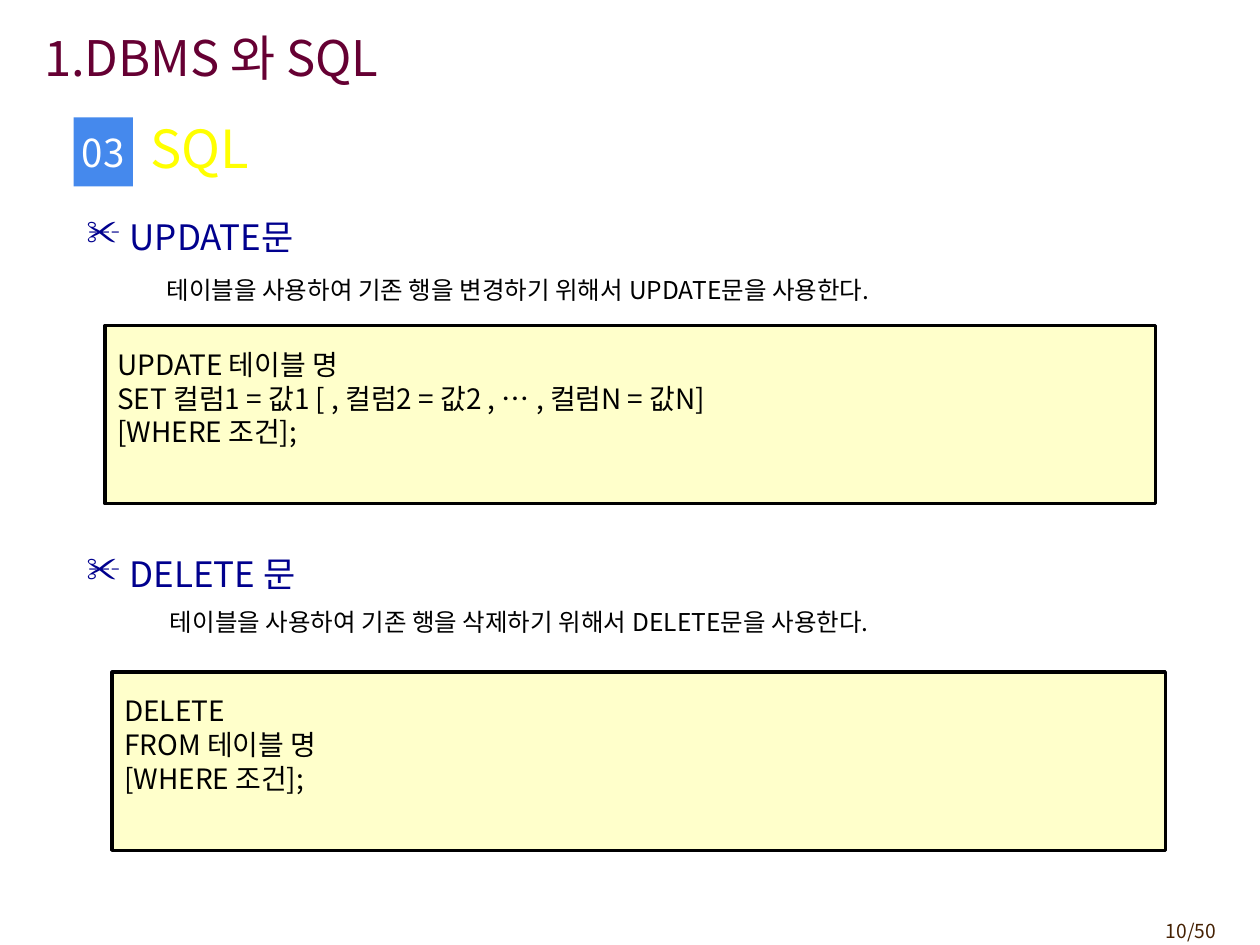
from dataclasses import dataclass

from lxml import etree
from pptx import Presentation
from pptx import util as u
from pptx.dml.color import RGBColor
from pptx.enum import shapes, text
from pptx.oxml.ns import qn

FONT = "Noto Sans CJK KR"
BLACK, NAVY = "000000", "00008E"


@dataclass
class Box:
    left: float
    top: float
    width: float
    height: float

    def lengths(self) -> list:
        return [u.Pt(value) for value in (self.left, self.top, self.width, self.height)]


@dataclass
class Section:
    heading: str
    heading_box: Box
    code: str
    code_box: Box


def color(value: str) -> RGBColor:
    return RGBColor.from_string(value)


def add_xml(parent, tag: str, **attributes: str):
    return etree.SubElement(parent, qn(tag), attributes)


def write(shape, content: str, size: float, ink: str,
          align=text.PP_ALIGN.LEFT, anchor=text.MSO_ANCHOR.TOP, wrap: bool = True) -> None:
    """Fill a shape with text in the slide's font."""
    frame = shape.text_frame
    frame.text = content
    frame.word_wrap = wrap
    frame.auto_size = text.MSO_AUTO_SIZE.NONE
    frame.vertical_anchor = anchor
    for paragraph in frame.paragraphs:
        paragraph.alignment = align
        paragraph.space_before = u.Pt(0)
        for run in paragraph.runs:
            run.font.size = u.Pt(size)
            run.font.name = FONT
            run.font.color.rgb = color(ink)
            add_xml(run._r.get_or_add_rPr(), "a:ea", typeface=FONT)


def add_text(slide, box: Box, content: str, size: float, ink: str, **layout):
    shape = slide.shapes.add_textbox(*box.lengths())
    write(shape, content, size, ink, **layout)
    return shape


def add_rectangle(slide, box: Box, fill: str):
    shape = slide.shapes.add_shape(shapes.MSO_SHAPE.RECTANGLE, *box.lengths())
    shape.shadow.inherit = False
    shape.fill.solid()
    shape.fill.fore_color.rgb = color(fill)
    shape.line.fill.background()
    return shape


def set_indent(shape, left: float, first: float, bullet: str = "") -> None:
    properties = shape.text_frame.paragraphs[0]._p.get_or_add_pPr()
    properties.set("marL", str(u.Pt(left)))
    properties.set("indent", str(u.Pt(first)))
    if bullet:
        bullet_color = add_xml(properties, "a:buClr")
        add_xml(bullet_color, "a:srgbClr", val=NAVY)
        add_xml(properties, "a:buChar", char=bullet)
    else:
        add_xml(properties, "a:buNone")


def add_section(slide, section: Section) -> None:
    # Heading with a scissors bullet
    heading = add_text(slide, section.heading_box, section.heading, 20, NAVY)
    set_indent(heading, 24.5, -24.5, "✂")

    # Syntax panel, half transparent, with a line's room left below the code
    panel = add_rectangle(slide, section.code_box, "FFFF99")
    fill_color = panel._element.spPr.find(qn("a:solidFill")).find(qn("a:srgbClr"))
    add_xml(fill_color, "a:alpha", val="50000")
    panel.line.color.rgb = color(BLACK)
    panel.line.width = u.Pt(1.75)
    write(panel, section.code, 16, BLACK, anchor=text.MSO_ANCHOR.MIDDLE, wrap=False)
    panel.text_frame.margin_bottom = u.Pt(22.8)


def add_text_shadow(shape) -> None:
    properties = shape.text_frame.paragraphs[0].runs[0]._r.get_or_add_rPr()
    effects = etree.Element(qn("a:effectLst"))
    shadow = add_xml(effects, "a:outerShdw", dist="25400", dir="2700000")
    add_xml(shadow, "a:srgbClr", val=BLACK)
    properties.find(qn("a:solidFill")).addnext(effects)


SECTIONS = [
    Section("UPDATE문", Box(42.5, 119.5, 465, 34),
            "UPDATE 테이블 명\nSET 컬럼1 = 값1 [ , 컬럼2 = 값2 , … , 컬럼N = 값N]\n[WHERE 조건];",
            Box(60, 186, 600.5, 102)),
    Section("DELETE 문", Box(42.5, 312, 465, 34),
            "DELETE\nFROM 테이블 명\n[WHERE 조건];",
            Box(64, 384, 602, 102)),
]


def main() -> None:
    presentation = Presentation()
    presentation.slide_width, presentation.slide_height = u.Pt(720), u.Pt(540)
    slide = presentation.slides.add_slide(presentation.slide_layouts[1])
    middle = text.MSO_ANCHOR.MIDDLE

    # Title and first description
    title, body = slide.placeholders
    title.left, title.top, title.width, title.height = Box(18, 6, 642, 53).lengths()
    write(title, "1.DBMS 와 SQL", 28, "660033", anchor=middle)
    body.left, body.top, body.width, body.height = Box(88, 153.5, 550, 34.5).lengths()
    write(body, "테이블을 사용하여 기존 행을 변경하기 위해서 UPDATE문을 사용한다.", 14, BLACK)
    set_indent(body, 27, -27)

    # Numbered topic
    badge = add_rectangle(slide, Box(42, 67, 34, 39.5), "4589ED")
    write(badge, "03", 22, "FFFFFF", align=text.PP_ALIGN.CENTER, anchor=middle, wrap=False)
    topic = add_text(slide, Box(79, 60, 467, 49), "SQL", 30, "FFFF00", anchor=middle)
    add_text_shadow(topic)

    # Statements
    for section in SECTIONS:
        add_section(slide, section)

    # Second description
    description = add_text(slide, Box(54, 343.5, 680, 34.5),
                           "테이블을 사용하여 기존 행을 삭제하기 위해서 DELETE문을 사용한다.", 14, BLACK)
    set_indent(description, 58.5, -22.5)

    # Page number
    add_text(slide, Box(642, 522, 60, 21), "10/50", 11, "452103", align=text.PP_ALIGN.RIGHT)

    presentation.save("out.pptx")


if __name__ == "__main__":
    main()
